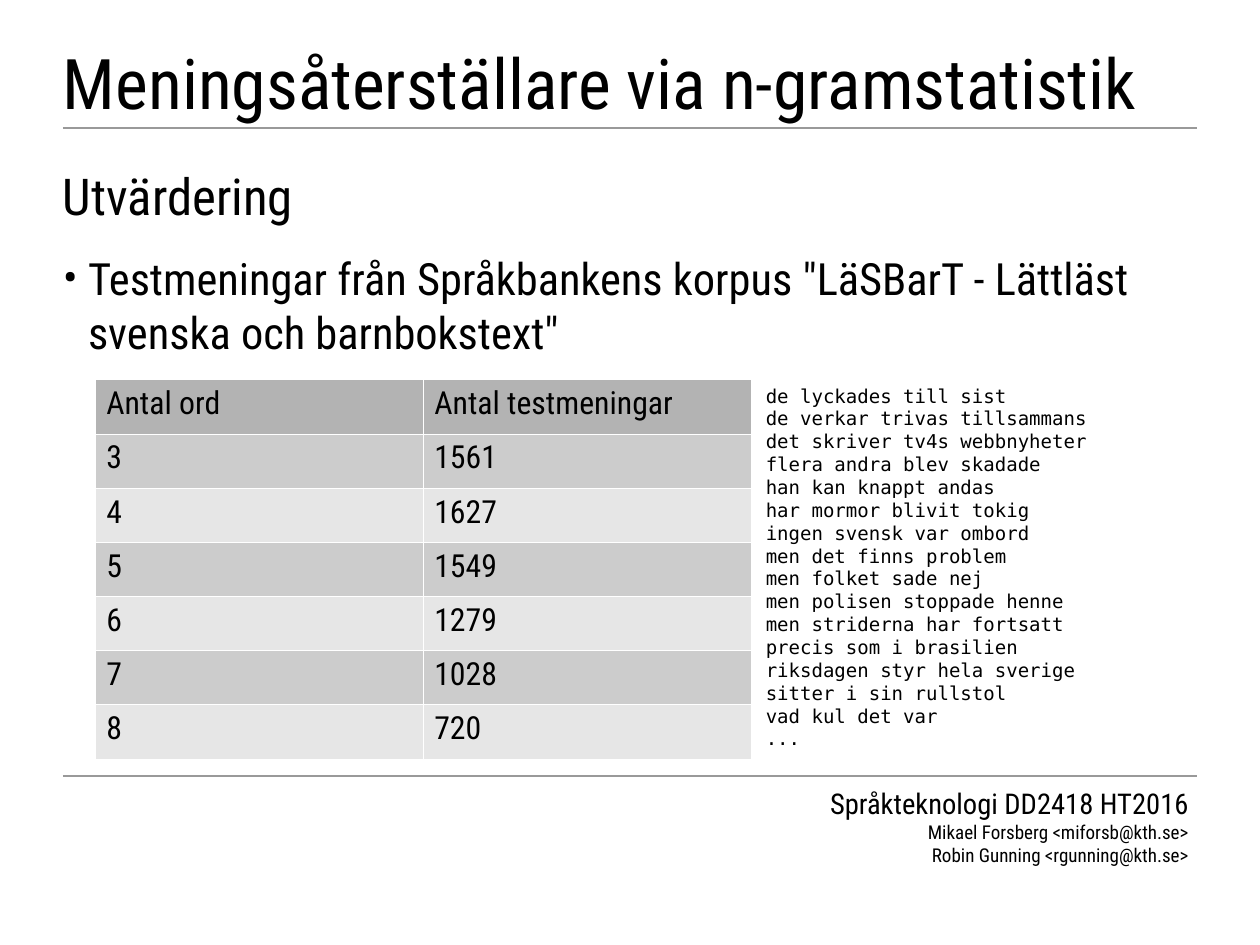
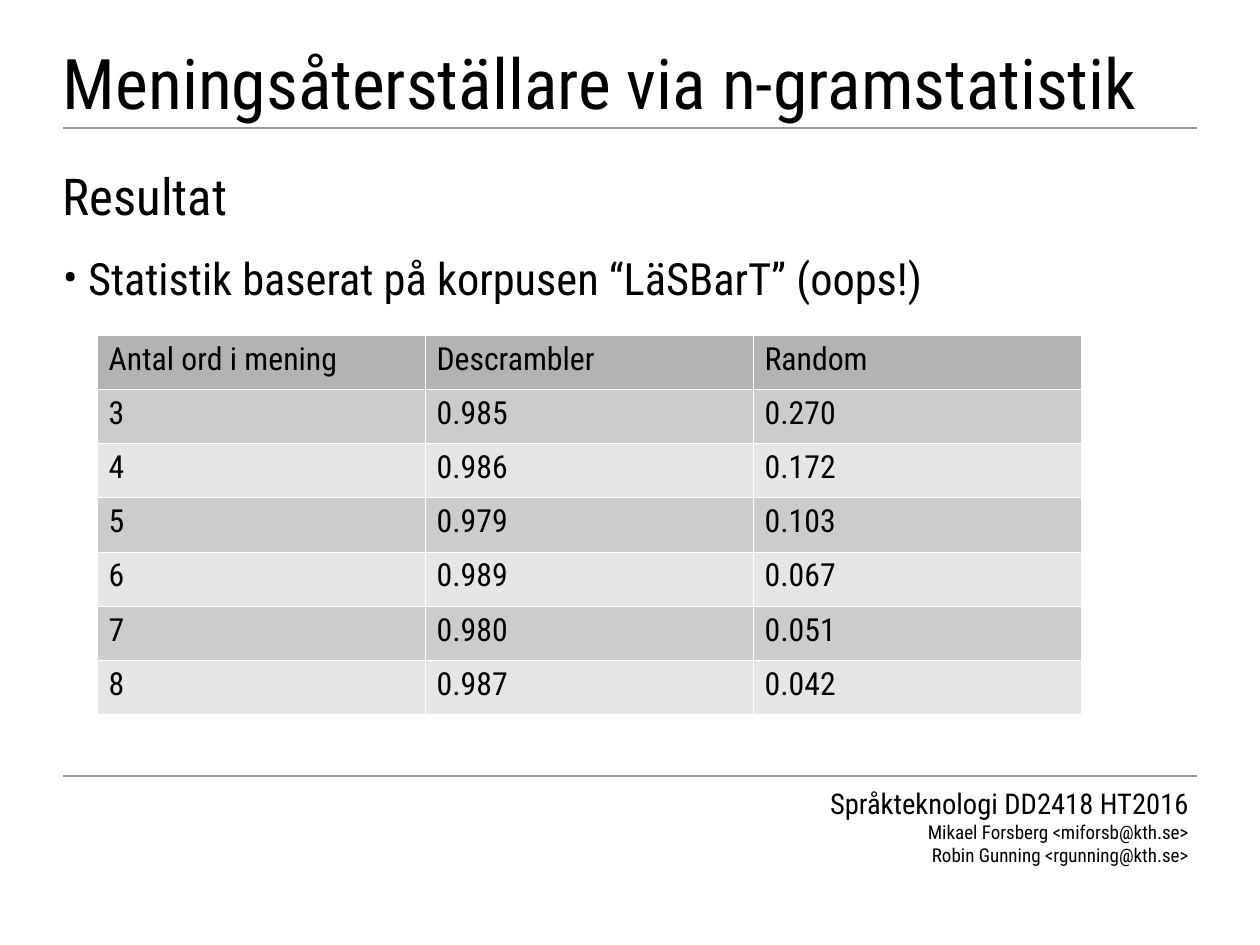
from lxml.etree import SubElement
from pptx import Presentation
from pptx.dml.color import RGBColor
from pptx.enum.shapes import MSO_CONNECTOR
from pptx.enum.text import MSO_ANCHOR, PP_ALIGN
from pptx.oxml.ns import qn
from pptx.util import Inches, Pt

BLACK, RULE, WHITE = "000000", "999999", "FFFFFF"
HEADER, BANDS = "B3B3B3", ("CCCCCC", "E6E6E6")
SANS, MONO = "Roboto Condensed", "DejaVu Sans Mono"
CM_PER_INCH = 2.54
LEFT, WIDTH = 0.55, 9.92
COLUMN_WIDTH, TABLE_HEIGHT = 2.87, 3.32
TITLE = "Meningsåterställare via n-gramstatistik"
COURSE = "Språkteknologi DD2418 HT2016"
AUTHORS = "Mikael Forsberg <miforsb@kth.se>\vRobin Gunning <rgunning@kth.se>"


def rgb(color):
    return RGBColor.from_string(color)


class Deck:
    """Holds the shared style and the slide being built."""

    def __init__(self):
        self.prs = Presentation()
        self.prs.slide_width = Inches(28 / CM_PER_INCH)
        self.prs.slide_height = Inches(21 / CM_PER_INCH)
        self.s = None

    def style(self, p, size, font=SANS):
        for r in p.runs:
            r.font.name, r.font.size = font, Pt(size)
            r.font.bold = False
            r.font.color.rgb = rgb(BLACK)

    def slide(self, heading):
        """Start a slide with the common title, rules and footer."""
        self.s = self.prs.slides.add_slide(self.prs.slide_layouts[6])
        self.text([TITLE], LEFT, 0.31, WIDTH, 0.81, 44, anchor=MSO_ANCHOR.MIDDLE)
        self.text([heading], LEFT, 1.3, WIDTH, 0.81, 32, anchor=MSO_ANCHOR.MIDDLE)
        for y in (1.12, 6.79):
            self.rule(y)
        footer = self.text([COURSE, AUTHORS], 6.8, 6.83, 3.7, 0.87, 12,
                           align=PP_ALIGN.RIGHT, margins=(0.1, 0.05))
        self.style(footer.paragraphs[0], 18)

    def text(self, lines, x, y, w, h, size, font=SANS, anchor=MSO_ANCHOR.TOP,
             align=PP_ALIGN.LEFT, margins=(0, 0)):
        box = self.s.shapes.add_textbox(Inches(x), Inches(y), Inches(w), Inches(h))
        tf = box.text_frame
        tf.margin_left = tf.margin_right = Inches(margins[0])
        tf.margin_top = tf.margin_bottom = Inches(margins[1])
        tf.word_wrap, tf.vertical_anchor = True, anchor
        tf.text = "\n".join(lines)
        for p in tf.paragraphs:
            p.alignment = align
            self.style(p, size, font)
        return tf

    def bullet(self, line):
        p = self.text([line], LEFT, 2.2, WIDTH, 4.53, 28).paragraphs[0]
        pPr = p._p.get_or_add_pPr()
        indent = Inches(0.22)
        pPr.set("marL", str(indent))
        pPr.set("indent", str(-indent))
        SubElement(pPr, qn("a:buFont"), typeface=SANS)
        SubElement(pPr, qn("a:buChar"), char="•")

    def rule(self, y):
        line = self.s.shapes.add_connector(
            MSO_CONNECTOR.STRAIGHT, Inches(LEFT), Inches(y),
            Inches(LEFT + WIDTH), Inches(y))
        line.line.color.rgb, line.line.width = rgb(RULE), Pt(1)
        SubElement(line._element.spPr, qn("a:effectLst"))

    def borders(self, cell):
        tcPr = cell._tc.get_or_add_tcPr()
        for side in ("lnL", "lnR", "lnT", "lnB"):
            ln = SubElement(tcPr, qn(f"a:{side}"), w=str(Pt(0.06)))
            fill = SubElement(ln, qn("a:solidFill"))
            SubElement(fill, qn("a:srgbClr"), val=WHITE)

    def table(self, rows, x, y):
        table = self.s.shapes.add_table(
            len(rows), len(rows[0]), Inches(x), Inches(y),
            Inches(COLUMN_WIDTH * len(rows[0])), Inches(TABLE_HEIGHT)).table
        table.first_row = table.horz_banding = False
        for i, row in enumerate(rows):
            color = BANDS[(i - 1) % 2] if i else HEADER
            for j, value in enumerate(row):
                cell = table.cell(i, j)
                cell.text = value
                self.style(cell.text_frame.paragraphs[0], 20)
                self.borders(cell)
                cell.fill.solid()
                cell.fill.fore_color.rgb = rgb(color)


def main():
    deck = Deck()

    deck.slide("Utvärdering")
    deck.table([
        ("Antal ord", "Antal testmeningar"),
        ("3", "1561"),
        ("4", "1627"),
        ("5", "1549"),
        ("6", "1279"),
        ("7", "1028"),
        ("8", "720"),
    ], 0.83, 3.32)
    deck.text([
        "de lyckades till sist",
        "de verkar trivas tillsammans",
        "det skriver tv4s webbnyheter",
        "flera andra blev skadade",
        "han kan knappt andas",
        "har mormor blivit tokig",
        "ingen svensk var ombord",
        "men det finns problem",
        "men folket sade nej",
        "men polisen stoppade henne",
        "men striderna har fortsatt",
        "precis som i brasilien",
        "riksdagen styr hela sverige",
        "sitter i sin rullstol",
        "vad kul det var",
        "...",
    ], 6.7, 3.36, 3.5, 3.4, 12, MONO)
    deck.bullet('Testmeningar från Språkbankens korpus '
                '"LäSBarT - Lättläst svenska och barnbokstext"')

    deck.slide("Resultat")
    deck.bullet("Statistik baserat på korpusen “LäSBarT” (oops!)")
    deck.table([
        ("Antal ord i mening", "Descrambler", "Random"),
        ("3", "0.985", "0.270"),
        ("4", "0.986", "0.172"),
        ("5", "0.979", "0.103"),
        ("6", "0.989", "0.067"),
        ("7", "0.980", "0.051"),
        ("8", "0.987", "0.042"),
    ], 0.85, 2.93)

    deck.prs.save("out.pptx")


if __name__ == "__main__":
    main()
